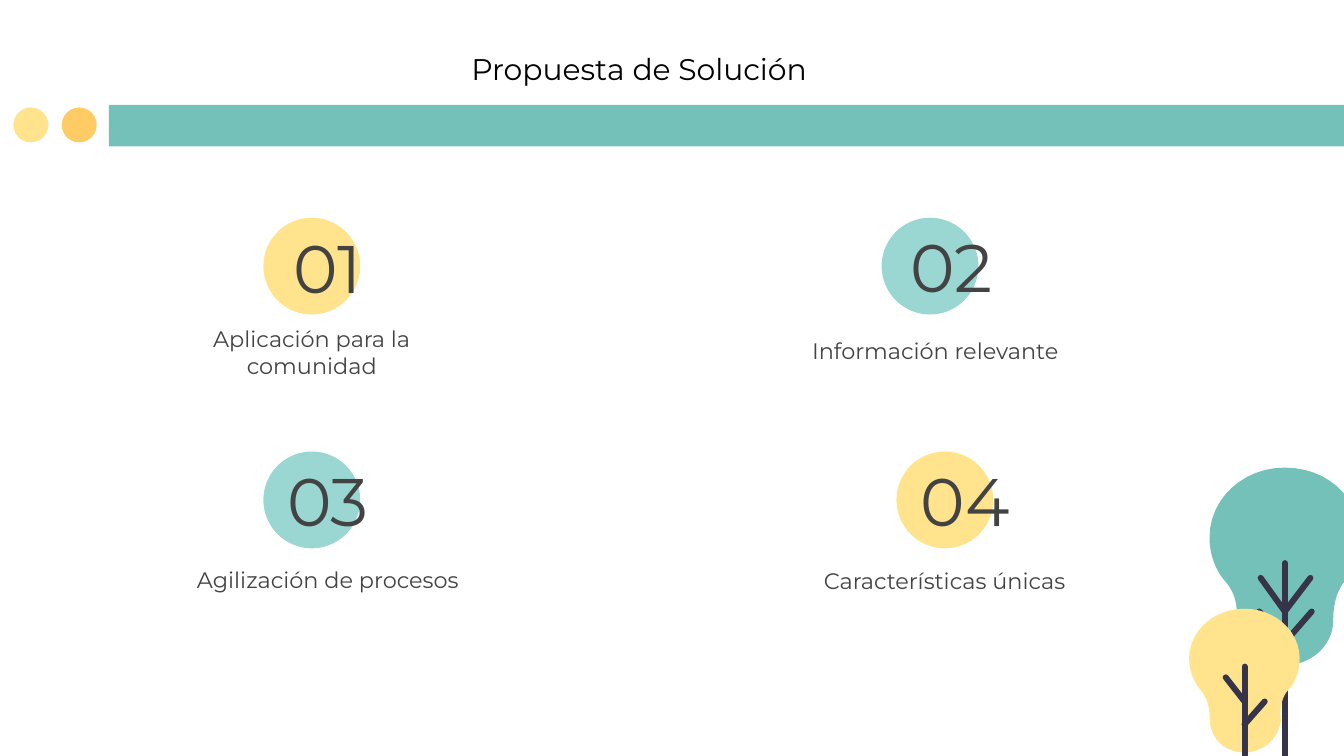
from dataclasses import dataclass

import lxml.etree
import pptx
import pptx.dml.color
import pptx.enum.shapes
import pptx.enum.text
import pptx.oxml.ns
import pptx.util

Inches = pptx.util.Inches
Shapes = pptx.enum.shapes.MSO_SHAPE
Anchor = pptx.enum.text.MSO_ANCHOR
Align = pptx.enum.text.PP_ALIGN
Point = tuple[float, float]

FONT = "Montserrat"
COLOURS = {
    "teal": "74C1B9",
    "mint": "9AD7D2",
    "yellow": "FFE48D",
    "orange": "FFCB64",
    "wood": "373449",
    "ink": "434343",
    "title": "000000",
}


@dataclass
class Idea:
    number: str
    label: str
    colour: str
    circle: Point
    number_at: Point
    label_at: Point
    label_width: float = 2.54


@dataclass
class Tree:
    colour: str
    start: Point
    curves: list[tuple[Point, Point, Point]]
    branches: list[tuple[Point, Point]]


IDEAS = [
    Idea("01", "Aplicación para la comunidad", "yellow", (1.96, 1.62), (1.48, 1.67), (1.01, 2.29), 2.62),
    Idea("02", "Información relevante", "mint", (6.56, 1.62), (6.12, 1.66), (5.69, 2.18)),
    Idea("03", "Agilización de procesos", "mint", (1.96, 3.36), (1.48, 3.4), (1.17, 3.88)),
    Idea("04", "Características únicas", "yellow", (6.67, 3.36), (6.22, 3.4), (5.76, 3.89)),
]

TREES = [
    Tree(
        "teal",
        (9.56, 3.48),
        [
            ((9.25, 3.48), (9, 3.71), (9, 4)),
            ((9, 4.12), (9.04, 4.24), (9.12, 4.33)),
            ((9.18, 4.4), (9.21, 4.49), (9.2, 4.58)),
            ((9.2, 4.81), (9.37, 4.95), (9.56, 4.95)),
            ((9.76, 4.95), (9.92, 4.8), (9.92, 4.62)),
            ((9.92, 4.49), (9.95, 4.39), (10.01, 4.32)),
            ((10.1, 4.21), (10.14, 4.07), (10.12, 3.94)),
            ((10.09, 3.7), (9.88, 3.48), (9.56, 3.48)),
        ],
        [
            ((9.56, 4.19), (9.56, 5.62)),
            ((9.38, 4.3), (9.56, 4.55)),
            ((9.75, 4.3), (9.56, 4.55)),
            ((9.37, 4.55), (9.56, 4.78)),
            ((9.76, 4.55), (9.56, 4.78)),
        ],
    ),
    Tree(
        "yellow",
        (9.26, 4.53),
        [
            ((9.03, 4.53), (8.87, 4.69), (8.85, 4.86)),
            ((8.84, 4.96), (8.87, 5.06), (8.93, 5.13)),
            ((8.98, 5.19), (9, 5.26), (9, 5.34)),
            ((9, 5.49), (9.11, 5.6), (9.26, 5.6)),
            ((9.4, 5.6), (9.52, 5.49), (9.53, 5.36)),
            ((9.52, 5.26), (9.54, 5.19), (9.58, 5.14)),
            ((9.64, 5.08), (9.67, 4.99), (9.67, 4.9)),
            ((9.67, 4.69), (9.48, 4.53), (9.26, 4.53)),
        ],
        [
            ((9.26, 4.96), (9.26, 5.62)),
            ((9.12, 5.04), (9.26, 5.22)),
            ((9.41, 5.22), (9.26, 5.39)),
        ],
    ),
]


def colour_of(name: str) -> pptx.dml.color.RGBColor:
    return pptx.dml.color.RGBColor.from_string(COLOURS[name])


def paint(shape, colour: str) -> None:
    shape.shadow.inherit = False
    shape.fill.solid()
    shape.fill.fore_color.rgb = colour_of(colour)
    shape.line.fill.background()


def draw_shape(page, kind, at: Point, width: float, height: float, colour: str) -> None:
    shape = page.shapes.add_shape(kind, Inches(at[0]), Inches(at[1]), Inches(width), Inches(height))
    paint(shape, colour)


def draw_text(page, text: str, at: Point, width: float, height: float, size: float,
              colour: str = "ink", anchor=Anchor.BOTTOM, align=Align.CENTER) -> None:
    box = page.shapes.add_textbox(Inches(at[0]), Inches(at[1]), Inches(width), Inches(height))
    frame = box.text_frame
    frame.word_wrap = True
    frame.vertical_anchor = anchor
    frame.margin_left = frame.margin_right = Inches(0.1)
    frame.margin_top = frame.margin_bottom = Inches(0.1)
    frame.text = text
    para = frame.paragraphs[0]
    para.alignment = align
    span = para.runs[0]
    span.font.name = FONT
    span.font.size = pptx.util.Pt(size)
    span.font.color.rgb = colour_of(colour)


def draw_idea(page, idea: Idea) -> None:
    draw_shape(page, Shapes.OVAL, idea.circle, 0.72, 0.72, idea.colour)
    draw_text(page, idea.number, idea.number_at, 1.92, 0.63, 36, anchor=Anchor.MIDDLE)
    draw_text(page, idea.label, idea.label_at, idea.label_width, 0.63, 12)


def curve_points(start: Point, curve: tuple[Point, Point, Point], steps: int = 12) -> list[Point]:
    points = []
    for step in range(1, steps + 1):
        t = step / steps
        weights = ((1 - t) ** 3, 3 * t * (1 - t) ** 2, 3 * t**2 * (1 - t), t**3)
        corners = (start, *curve)
        points.append(tuple(Inches(sum(w * c[axis] for w, c in zip(weights, corners))) for axis in (0, 1)))
    return points


def draw_branch(page, start: Point, end: Point) -> None:
    branch = page.shapes.add_connector(
        pptx.enum.shapes.MSO_CONNECTOR.STRAIGHT, *(Inches(value) for value in (*start, *end)))
    branch.line.width = pptx.util.Pt(3.2)
    branch.line.color.rgb = colour_of("wood")
    branch.line._get_or_add_ln().set("cap", "rnd")
    lxml.etree.SubElement(branch._element.spPr, pptx.oxml.ns.qn("a:effectLst"))


def draw_tree(page, tree: Tree) -> None:
    outline = page.shapes.build_freeform(Inches(tree.start[0]), Inches(tree.start[1]))
    start = tree.start
    for curve in tree.curves:
        outline.add_line_segments(curve_points(start, curve), close=False)
        start = curve[-1]
    outline.add_line_segments([], close=True)
    paint(outline.convert_to_shape(), tree.colour)
    for branch in tree.branches:
        draw_branch(page, *branch)


def main() -> None:
    deck = pptx.Presentation()
    deck.slide_width = Inches(10)
    deck.slide_height = deck.slide_width * 9 // 16
    page = deck.slides.add_slide(deck.slide_layouts[6])

    draw_shape(page, Shapes.RECTANGLE, (0.81, 0.78), 9.19, 0.31, "teal")
    for left, colour in ((0.46, "orange"), (0.1, "yellow")):
        draw_shape(page, Shapes.OVAL, (left, 0.8), 0.26, 0.26, colour)
    draw_text(page, "Propuesta de Solución", (3.41, 0.4), 3.56, 0.34, 16, "title", align=Align.LEFT)

    for idea in IDEAS:
        draw_idea(page, idea)
    for tree in TREES:
        draw_tree(page, tree)

    deck.save("out.pptx")


if __name__ == "__main__":
    main()
